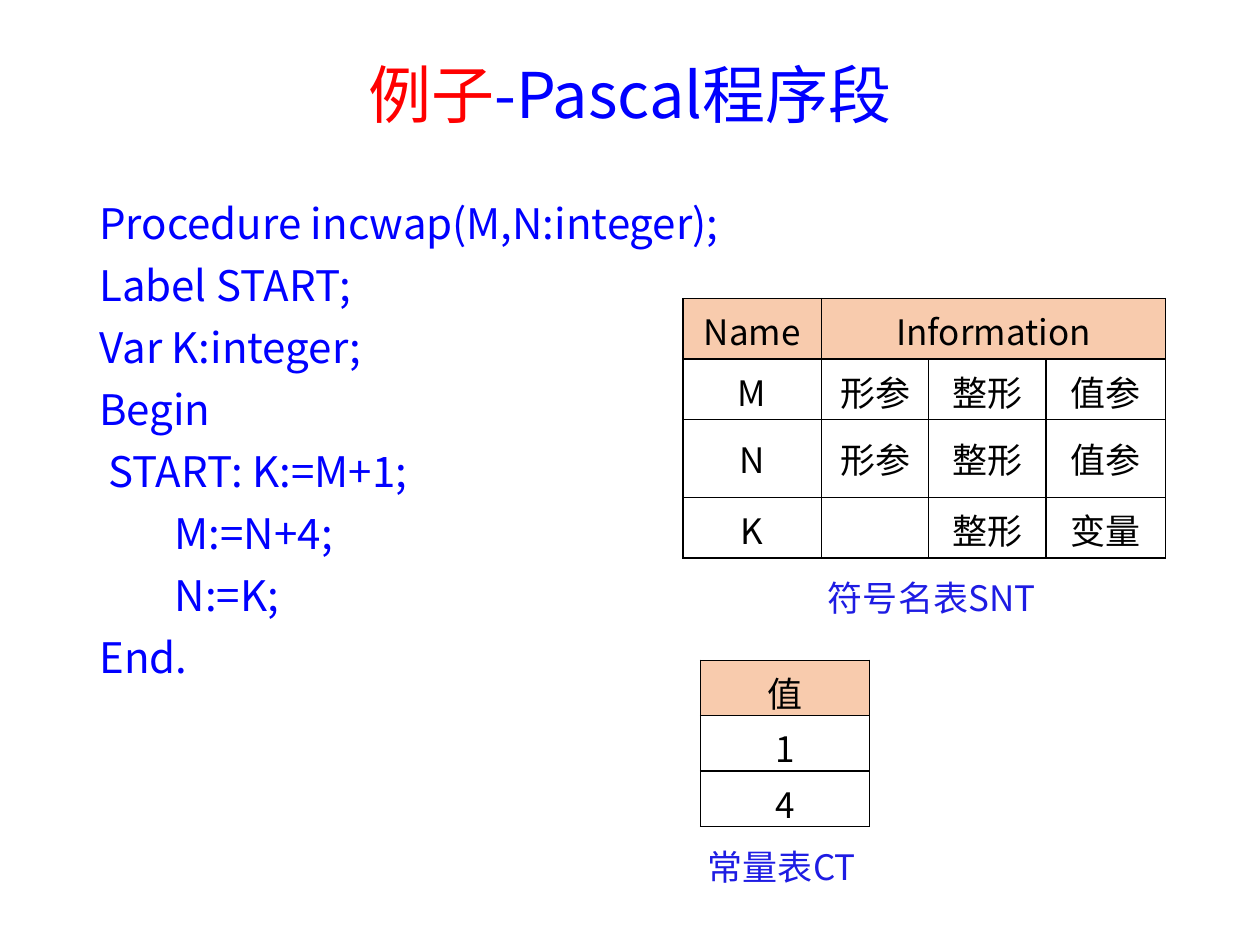
from lxml import etree
from pptx import Presentation
from pptx import util as u
from pptx.dml.color import RGBColor
from pptx.enum import text
from pptx.oxml.ns import qn

HUES = {"blue": "0000FF", "red": "FF0000", "ink": "000000",
        "note": "1E1CE3", "head": "F8CBAD"}
SANS, TITLE = "Noto Sans CJK SC", "Noto Sans CJK JP"
COLS, ROWS = 100, 75
MID = text.PP_ALIGN.CENTER

deck = Presentation()
deck.slide_width, deck.slide_height = u.Inches(10), u.Inches(7.5)
slide = deck.slides.add_slide(deck.slide_layouts[6])


def across(n):
    return int(deck.slide_width * n / COLS)


def down(n):
    return int(deck.slide_height * n / ROWS)


def place(box):
    x, y, w, h = box
    return across(x), down(y), across(w), down(h)


def hue(name):
    return RGBColor.from_string(HUES[name])


def style(par, size, tint, face=SANS, align=None):
    """Set one font for Latin and East Asian text of a paragraph."""
    par.alignment = align
    par.font.size = u.Pt(size)
    par.font.color.rgb = hue(tint)
    par.font.name = face
    props = par._p.get_or_add_pPr().find(qn("a:defRPr"))
    etree.SubElement(props, qn("a:ea"), typeface=face)


def frame(box, anchor=text.MSO_ANCHOR.MIDDLE):
    body = slide.shapes.add_textbox(*place(box)).text_frame
    body.word_wrap = True
    body.vertical_anchor = anchor
    return body


def title(box, parts):
    par = frame(box).paragraphs[0]
    par.line_spacing = 0.9
    style(par, 36, "blue", TITLE, MID)
    for words, tint in parts:
        run = par.add_run()
        run.text = words
        run.font.color.rgb = hue(tint)


def code(box, lines):
    """Write program lines, each with its indent in grid columns."""
    body = frame(box, text.MSO_ANCHOR.TOP)
    for i, (words, indent) in enumerate(lines):
        par = body.add_paragraph() if i else body.paragraphs[0]
        par.text = words
        par.line_spacing = 0.9
        par.space_before = u.Pt(4.8 if i else 0)
        par.space_after = u.Pt(4.8)
        style(par, 24, "blue")
        par._p.get_or_add_pPr().set("marL", str(across(indent)))


def caption(box, words):
    par = frame(box).paragraphs[0]
    par.text = words
    style(par, 20, "note", align=MID)


def edge(cell):
    props = cell._tc.get_or_add_tcPr()
    for i, side in enumerate(("lnL", "lnR", "lnT", "lnB")):
        line = etree.Element(qn("a:" + side), w=str(u.Pt(1)))
        fill = etree.SubElement(line, qn("a:solidFill"))
        etree.SubElement(fill, qn("a:srgbClr"), val=HUES["ink"])
        props.insert(i, line)


def table(spot, widths, heights, data, anchor):
    """Draw a bordered table; None joins a cell to the one on its left."""
    box = (*spot, sum(widths), sum(heights))
    grid = slide.shapes.add_table(len(data), len(widths), *place(box)).table
    for col, width in zip(grid.columns, widths):
        col.width = across(width)
    for row, height in zip(grid.rows, heights):
        row.height = down(height)
    for r, row in enumerate(data):
        for c, words in enumerate(row):
            cell = grid.cell(r, c)
            cell.text = words or ""
            cell.vertical_anchor = anchor
            style(cell.text_frame.paragraphs[0], 20, "ink", align=MID)
            if r:
                cell.fill.background()
            else:
                cell.fill.solid()
                cell.fill.fore_color.rgb = hue("head")
            edge(cell)
        if None in row:
            grid.cell(r, row.index(None) - 1).merge(grid.cell(r, len(row) - 1))


title((6.9, 4, 86.2, 7.6), [("例子", "red"), ("-Pascal程序段", "blue")])
code((6.9, 15.6, 53.6, 46.6), [
    ("Procedure incwap(M,N:integer);", 0),
    ("Label START;", 0),
    ("Var K:integer;", 0),
    ("Begin", 0),
    ("START: K:=M+1;", 0.7),
    ("M:=N+4;", 6),
    ("N:=K;", 6),
    ("End.", 0),
])
table((54.2, 23.7), (11, 8.5, 9.3, 9.5), (4.8, 4.8, 6.2, 4.8), [
    ("Name", "Information", None, None),
    ("M", "形参", "整形", "值参"),
    ("N", "形参", "整形", "值参"),
    ("K", "", "整形", "变量"),
], text.MSO_ANCHOR.MIDDLE)
table((55.6, 52.4), (13.4,), (4.4,) * 3, [("值",), ("1",), ("4",)],
      text.MSO_ANCHOR.TOP)
caption((60.3, 45.5, 27.3, 3.9), "符号名表SNT")
caption((48.4, 66.8, 27.3, 3.9), "常量表CT")

deck.save("out.pptx")
